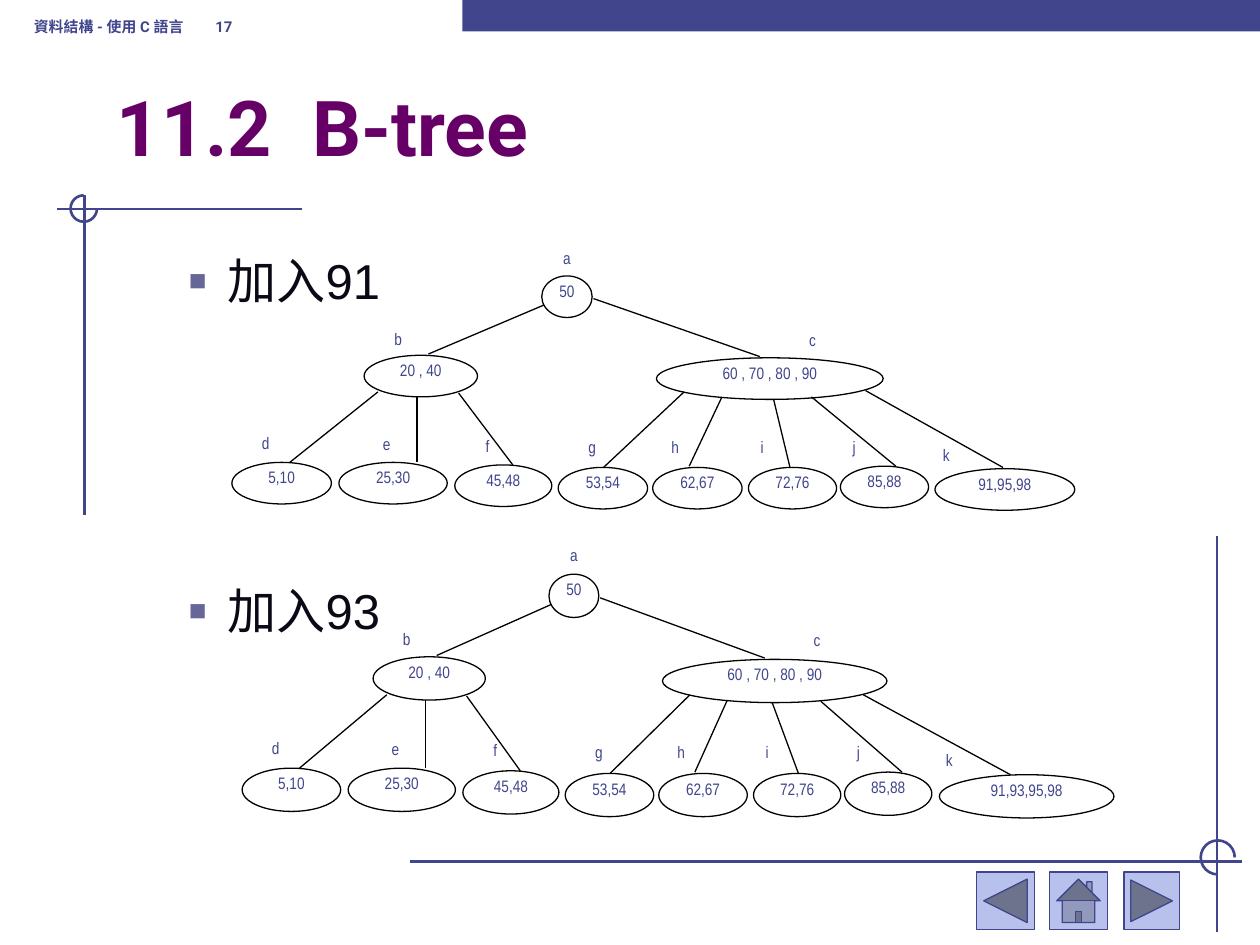
from lxml import etree
from pptx import Presentation
from pptx.dml.color import RGBColor
from pptx.enum.shapes import MSO_CONNECTOR, MSO_SHAPE
from pptx.enum.text import MSO_ANCHOR, PP_ALIGN
from pptx.oxml.ns import qn
from pptx.util import Inches, Pt

LINE = MSO_CONNECTOR.STRAIGHT
OVAL, ARC, RECT = MSO_SHAPE.OVAL, MSO_SHAPE.ARC, MSO_SHAPE.RECTANGLE
HOME = MSO_SHAPE.ACTION_BUTTON_HOME
NEXT = MSO_SHAPE.ACTION_BUTTON_FORWARD_OR_NEXT
BACK = MSO_SHAPE.ACTION_BUTTON_BACK_OR_PREVIOUS
TOP, BOTTOM, CENTER = MSO_ANCHOR.TOP, MSO_ANCHOR.BOTTOM, PP_ALIGN.CENTER
COLORS = {"navy": "40458C", "pale": "B7C1EB", "title": "660066",
          "ink": "090A15", "bullet": "666699", "black": "000000"}

NODES = [("50", 4.3, 2.19, 0.4), ("20 , 40", 2.89, 2.82, 0.9),
         ("60 , 70 , 80 , 90", 5.21, 2.84, 1.8), ("5,10", 1.84, 3.67, 0.79),
         ("25,30", 2.69, 3.67, 0.86), ("45,48", 3.61, 3.69, 0.77),
         ("53,54", 4.43, 3.71, 0.71), ("62,67", 5.18, 3.71, 0.71),
         ("72,76", 5.94, 3.71, 0.7), ("85,88", 6.67, 3.7, 0.7)]
TAGS = [("a", 4.3, 1.93), ("b", 2.96, 2.57), ("c", 6.25, 2.58),
        ("d", 1.91, 3.4), ("e", 2.87, 3.41), ("f", 3.67, 3.42),
        ("g", 4.5, 3.43), ("h", 5.16, 3.43), ("i", 5.85, 3.43),
        ("j", 6.58, 3.43), ("k", 7.31, 3.49)]
LINKS = [(3.4, 2.81, 4.32, 2.42), (4.71, 2.37, 6.03, 2.83),
         (2.3, 3.67, 3, 3.11), (3.64, 3.12, 4.07, 3.69),
         (3.31, 3.67, 3.31, 3.15), (5.73, 3.15, 5.47, 3.7),
         (4.79, 3.71, 5.43, 3.11), (6.44, 3.15, 7.11, 3.7),
         (6.14, 3.17, 6.27, 3.71), (6.87, 3.1, 7.96, 3.71)]


def color(name):
    """Return a named colour."""
    return RGBColor.from_string(COLORS[name])


def add_run(para, text, size, face, tint, bold=False):
    """Add one styled run to a paragraph."""
    run = para.add_run()
    run.text = text
    font = run.font
    font.size, font.name, font.bold = Pt(size), face, bold
    font.color.rgb = color(tint)
    props = run._r.get_or_add_rPr()
    etree.SubElement(props, qn("a:ea"), typeface=face)


def add_box(shapes, box, anchor):
    """Add a wrapping text box and return its frame."""
    frame = shapes.add_textbox(*map(Inches, box)).text_frame
    frame.word_wrap = True
    frame.vertical_anchor = anchor
    return frame


def add_form(shapes, kind, box, fill=None, line=None, width=0.75):
    """Add a preset shape with optional fill and line."""
    form = shapes.add_shape(kind, *map(Inches, box))
    form.shadow.inherit = False
    if fill:
        form.fill.solid()
        form.fill.fore_color.rgb = color(fill)
    else:
        form.fill.background()
    if line:
        form.line.color.rgb = color(line)
        form.line.width = Pt(width)
    else:
        form.line.fill.background()
    return form


def add_line(shapes, ends, tint="black", width=0.75):
    """Add a straight connector."""
    line = shapes.add_connector(LINE, *map(Inches, ends))
    line.line.color.rgb = color(tint)
    line.line.width = Pt(width)
    etree.SubElement(line._element.spPr, qn("a:effectLst"))


def add_oval(shapes, text, box, line=None):
    """Add an oval with centred small text."""
    frame = add_form(shapes, OVAL, box, line=line).text_frame
    frame.margin_left = frame.margin_right = 0
    frame.margin_top = frame.margin_bottom = 0
    frame.vertical_anchor = TOP
    para = frame.paragraphs[0]
    para.alignment = CENTER
    para.line_spacing = 0.96
    add_run(para, text, 9.5, "Arial Narrow", "navy")


def add_tree(slide, last, links, scale=(1, 1), shift=(0, 0)):
    """Draw the tree, scaled and shifted, with its own last leaf and links."""
    shapes = slide.shapes.add_group_shape().shapes
    (sx, sy), (dx, dy) = scale, shift

    def place(x, y):
        """Map a point into this tree."""
        return sx * x + dx, sy * y + dy

    for text, x, y, wide in NODES + [last]:
        add_oval(shapes, text, (*place(x, y), sx * wide, sy * 0.33), "black")
    for x1, y1, x2, y2 in links:
        add_line(shapes, place(x1, y1) + place(x2, y2))
    for text, x, y in TAGS:
        add_oval(shapes, text, (*place(x, y), sx * 0.4, sy * 0.33))


def add_cross(slide, lines, ring, start, end):
    """Draw two crossing lines with an open ring."""
    shapes = slide.shapes.add_group_shape().shapes
    for ends in lines:
        add_line(shapes, ends, "navy", 1.5)
    arc = add_form(shapes, ARC, ring, line="navy", width=1.5)
    arc.adjustments[0], arc.adjustments[1] = start * 0.6, end * 0.6


def add_tab(para, stop):
    """Set one left tab stop on a paragraph."""
    tabs = etree.SubElement(para._p.get_or_add_pPr(), qn("a:tabLst"))
    etree.SubElement(tabs, qn("a:tab"), pos=str(Inches(stop)), algn="l")


def add_head(slide, box, text, stop, size, tint):
    """Add a bold heading with a tab gap."""
    para = add_box(slide.shapes, box, BOTTOM).paragraphs[0]
    add_tab(para, stop)
    add_run(para, text, size, "Roboto", tint, True)


def add_list(slide, box, items, gap):
    """Add square-bulleted items."""
    frame = add_box(slide.shapes, box, TOP)
    for i, text in enumerate(items):
        para = frame.add_paragraph() if i else frame.paragraphs[0]
        props = para._p.get_or_add_pPr()
        props.set("marL", str(Inches(0.81)))
        props.set("indent", str(Inches(-0.31)))
        tint = etree.SubElement(props, qn("a:buClr"))
        etree.SubElement(tint, qn("a:srgbClr"), val=COLORS["bullet"])
        etree.SubElement(props, qn("a:buSzPct"), val="60000")
        etree.SubElement(props, qn("a:buFont"), typeface="Arial")
        etree.SubElement(props, qn("a:buChar"), char="■")
        if i:
            para.space_before = Pt(gap)
        add_run(para, text, 28, "Arial", "ink")


def main():
    """Build and save the slide."""
    deck = Presentation()
    deck.slide_width, deck.slide_height = Inches(10), Inches(7.5)
    slide = deck.slides.add_slide(deck.slide_layouts[6])
    add_cross(slide, [(2.4, 1.66, 0.45, 1.66), (0.67, 1.55, 0.67, 4.09)],
              (0.56, 1.55, 0.21, 0.21), 0, 270)
    add_form(slide.shapes, RECT, (3.67, 0, 6.33, 0.25), "navy")
    for kind, x, wide in [(HOME, 8.33, 0.46), (NEXT, 8.92, 0.44),
                          (BACK, 7.75, 0.46)]:
        add_form(slide.shapes, kind, (x, 6.92, wide, 0.46), "pale", "navy")
    add_cross(slide, [(3.25, 6.84, 9.86, 6.84), (9.66, 4.25, 9.66, 7.4)],
              (9.53, 6.67, 0.27, 0.27), 90, 0)
    add_head(slide, (0.17, -0.17, 3.08, 0.5),
             "資料結構 - 使用 C 語言\t17", 1.44, 8.5, "navy")
    add_head(slide, (0.83, 0.58, 8.5, 0.83), "11.2\tB-tree", 1.55, 44, "title")
    add_list(slide, (0.9, 1.94, 8.41, 4.07), ["加入91", "加入93"], 155)
    add_tree(slide, ("91,95,98", 7.42, 3.72, 1.11), LINKS)
    tail = [(6.48, 3.16, 7.13, 3.7), (6.09, 3.17, 6.3, 3.71),
            (6.82, 3.11, 8, 3.72)]
    add_tree(slide, ("91,93,95,98", 7.43, 3.72, 1.4), LINKS[:-3] + tail,
             (0.99, 1.04), (0.1, 2.28))
    deck.save("out.pptx")


if __name__ == "__main__":
    main()
